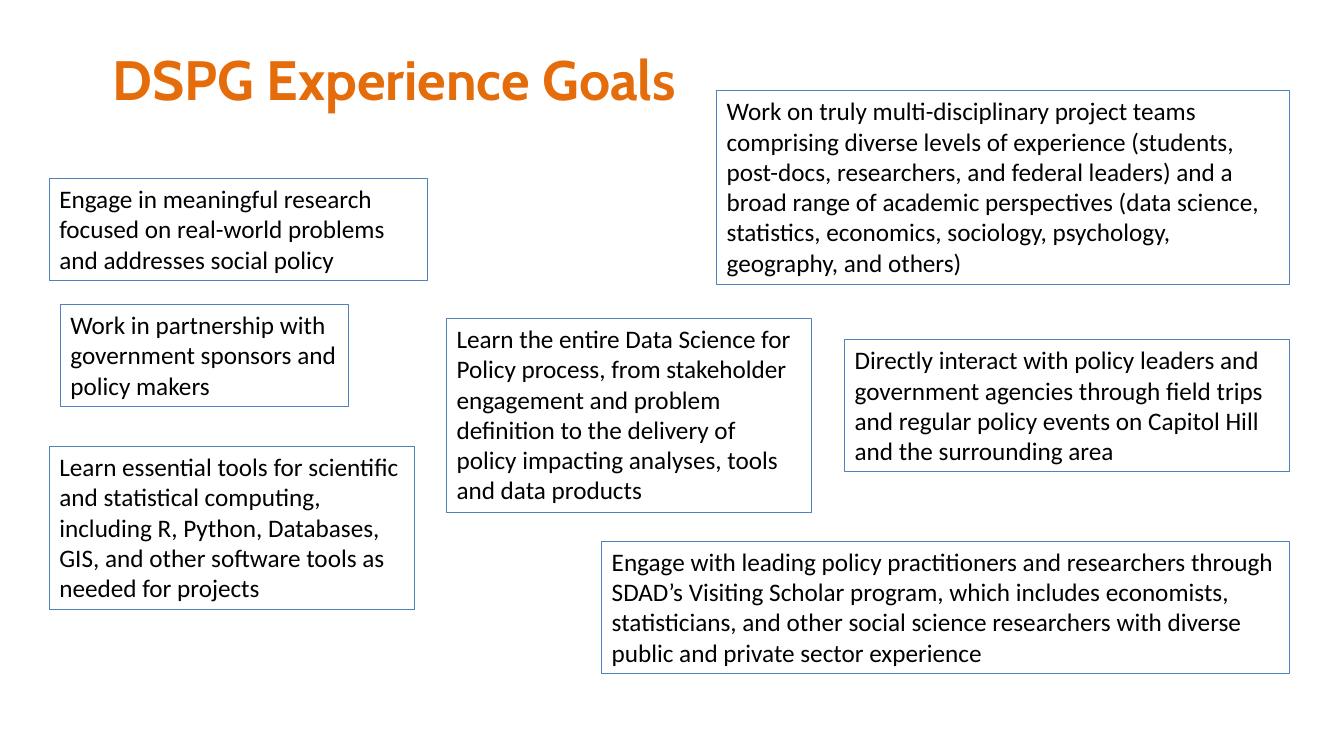
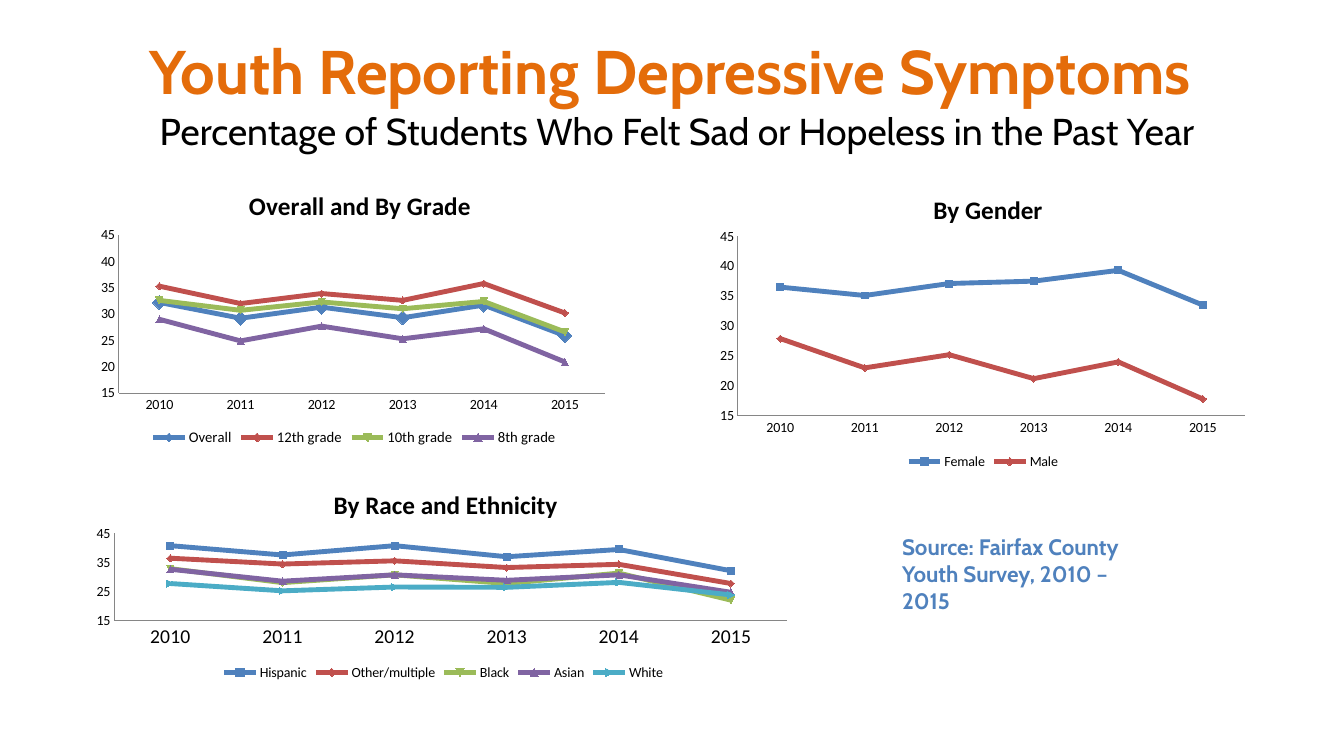
from dataclasses import dataclass
from typing import NamedTuple, Optional

from pptx import Presentation
from pptx.chart.data import CategoryChartData
from pptx.dml.color import RGBColor
from pptx.enum.chart import XL_CHART_TYPE as ChartType
from pptx.enum.chart import XL_LEGEND_POSITION as LegendPos
from pptx.enum.chart import XL_MARKER_STYLE as Marker
from pptx.enum.chart import XL_TICK_MARK as Tick
from pptx.enum.text import MSO_ANCHOR as Anchor
from pptx.enum.text import MSO_AUTO_SIZE as AutoSize
from pptx.enum.text import PP_ALIGN as Align
from pptx.oxml import parse_xml
from pptx.oxml.ns import nsdecls
from pptx.util import Inches, Pt

ORANGE = RGBColor(0xE4, 0x6C, 0x0A)
BLUE = RGBColor(0x4F, 0x81, 0xBD)
RED = RGBColor(0xC0, 0x50, 0x4D)
GREEN = RGBColor(0x9B, 0xBB, 0x59)
PURPLE = RGBColor(0x80, 0x64, 0xA2)
TEAL = RGBColor(0x4B, 0xAC, 0xC6)
BLACK = RGBColor(0, 0, 0)
GREY = RGBColor(0x86, 0x86, 0x86)
SERIES_COLOURS = (BLUE, RED, GREEN, PURPLE, TEAL)

HEADING_FONT, BODY_FONT = "Cabin", "Calibri"
SLIDE_W, SLIDE_H = Inches(13.333), Inches(7.5)
TITLE_ONLY = 5
YEARS = [str(year) for year in range(2010, 2016)]


class Area(NamedTuple):
    """A rectangle in percent of the slide's width and height."""
    left: float
    top: float
    width: float
    height: float

    def emu(self) -> tuple[int, ...]:
        sides = (SLIDE_W, SLIDE_H, SLIDE_W, SLIDE_H)
        return tuple(round(side * share / 100) for side, share in zip(sides, self))


@dataclass(frozen=True)
class TextStyle:
    size: float
    font: str = HEADING_FONT
    colour: RGBColor = BLACK
    bold: bool = False
    align: Align = Align.LEFT


@dataclass(frozen=True)
class Goal:
    area: Area
    text: str


@dataclass(frozen=True)
class Trend:
    """A line chart; title_at and plot_at are shares of the chart's size."""
    title: str
    area: Area
    title_at: tuple[float, float]
    plot_at: tuple[float, float, float, float]
    rates: dict[str, tuple[float, ...]]
    step: int = 5
    year_size: float = 10
    legend_size: float = 10
    large_first_marker: bool = False


GOAL_STYLE = TextStyle(18, BODY_FONT)
CHART_TITLE_STYLE = TextStyle(18, BODY_FONT, bold=True)
SUBTITLE_STYLE = TextStyle(26.7, align=Align.CENTER)
SOURCE_STYLE = TextStyle(16, colour=BLUE, bold=True)

GOALS = (
    Goal(Area(3.68, 23.6, 28.13, 13.47),
         "Engage in meaningful research focused on real-world problems "
         "and addresses social policy"),
    Goal(Area(53.33, 12, 42.6, 25.6),
         "Work on truly multi-disciplinary project teams comprising diverse levels "
         "of experience (students, post-docs, researchers, and federal leaders) and "
         "a broad range of academic perspectives (data science, statistics, "
         "economics, sociology, psychology, geography, and others)"),
    Goal(Area(3.68, 59.07, 27.15, 21.6),
         "Learn essential tools for scientific and statistical computing, including "
         "R, Python, Databases, GIS, and other software tools as needed for projects"),
    Goal(Area(4.5, 40.27, 21.45, 13.47),
         "Work in partnership with government sponsors and policy makers"),
    Goal(Area(44.78, 71.6, 51.15, 17.47),
         "Engage with leading policy practitioners and researchers through SDAD’s "
         "Visiting Scholar program, which includes economists, statisticians, and "
         "other social science researchers with diverse public and private sector "
         "experience"),
    Goal(Area(62.85, 44.93, 33.08, 17.47),
         "Directly interact with policy leaders and government agencies through "
         "field trips and regular policy events on Capitol Hill and the "
         "surrounding area"),
    Goal(Area(33.23, 42.13, 27.15, 25.6),
         "Learn the entire Data Science for Policy process, from stakeholder "
         "engagement and problem definition to the delivery of policy impacting "
         "analyses, tools and data products"),
)

TRENDS = (
    Trend("By Gender", Area(52.88, 22.4, 40.58, 40.27),
          (0.4, 0.06), (0.05, 0.22, 0.93, 0.59),
          {"Female": (36.5, 35.1, 37.1, 37.5, 39.3, 33.5),
           "Male": (27.9, 23, 25.2, 21.2, 24, 17.8)}),
    Trend("Overall and By Grade", Area(6.9, 21.6, 38.93, 38),
          (0.29, 0.07), (0.05, 0.25, 0.93, 0.55),
          {"Overall": (32.2, 29.2, 31.3, 29.3, 31.7, 25.9),
           "12th grade": (35.3, 32, 33.9, 32.6, 35.8, 30.2),
           "10th grade": (32.6, 30.7, 32.3, 31, 32.4, 26.6),
           "8th grade": (29, 24.9, 27.7, 25.3, 27.2, 20.9)},
          legend_size=10.5, large_first_marker=True),
    Trend("By Race and Ethnicity", Area(6.38, 61.6, 53.25, 28.93),
          (0.34, 0.08), (0.04, 0.31, 0.94, 0.4),
          {"Hispanic": (40.8, 37.6, 40.8, 37, 39.5, 32.2),
           "Other/multiple": (36.5, 34.5, 35.6, 33.3, 34.4, 27.8),
           "Black": (32.9, 28.1, 30.8, 27.8, 31.4, 22.1),
           "Asian": (32.7, 28.6, 30.8, 28.9, 30.8, 24.8),
           "White": (27.8, 25.3, 26.6, 26.5, 28.2, 23.9)},
          step=10, year_size=14),
)


def write(frame, text: str, style: TextStyle) -> None:
    paragraph = frame.paragraphs[0]
    paragraph.alignment = style.align
    run = paragraph.add_run()
    run.text = text
    run.font.name = style.font
    run.font.size = Pt(style.size)
    run.font.bold = style.bold
    run.font.color.rgb = style.colour


def add_titled_slide(deck, title: str, area: Area, size: float):
    slide = deck.slides.add_slide(deck.slide_layouts[TITLE_ONLY])
    heading = slide.shapes.title
    heading.left, heading.top, heading.width, heading.height = area.emu()
    frame = heading.text_frame
    frame.word_wrap = True
    frame.auto_size = AutoSize.NONE
    frame.vertical_anchor = Anchor.TOP
    write(frame, title, TextStyle(size, colour=ORANGE, bold=True, align=Align.CENTER))
    return slide


def add_text(slide, area: Area, text: str, style: TextStyle,
             outline: Optional[RGBColor] = None) -> None:
    box = slide.shapes.add_textbox(*area.emu())
    box.text_frame.word_wrap = True
    box.text_frame.auto_size = AutoSize.SHAPE_TO_FIT_TEXT
    if outline is not None:
        box.line.color.rgb = outline
        box.line.width = Pt(0.75)
    write(box.text_frame, text, style)


def set_layout(element, index: int, shares: tuple[float, ...]) -> None:
    """Fix the place, and the inner size if given, of a chart part."""
    for old in element.xpath("c:layout"):
        element.remove(old)
    target = '<c:layoutTarget val="inner"/>' if len(shares) == 4 else ""
    values = "".join(f'<c:{key} val="{share}"/>' for key, share in zip("xywh", shares))
    element.insert(index, parse_xml(
        f'<c:layout {nsdecls("c")}><c:manualLayout>{target}'
        f'<c:xMode val="edge"/><c:yMode val="edge"/>{values}'
        '</c:manualLayout></c:layout>'))


def style_axis(axis, size: float) -> None:
    axis.has_major_gridlines = False
    axis.major_tick_mark = axis.minor_tick_mark = Tick.NONE
    axis.tick_labels.font.size = Pt(size)
    axis.format.line.color.rgb = GREY
    axis.format.line.width = Pt(0.75)


def add_trend(slide, trend: Trend) -> None:
    data = CategoryChartData()
    data.categories = YEARS
    for name, rates in trend.rates.items():
        data.add_series(name, rates)
    chart = slide.shapes.add_chart(
        ChartType.LINE_MARKERS, *trend.area.emu(), data).chart
    chart.font.name = BODY_FONT
    chart.font.size = Pt(10)
    chart.font.color.rgb = BLACK

    chart.has_title = True
    write(chart.chart_title.text_frame, trend.title, CHART_TITLE_STYLE)
    root = chart._chartSpace
    set_layout(root.xpath("c:chart/c:title")[0], 1, trend.title_at)
    set_layout(root.xpath("c:chart/c:plotArea")[0], 0, trend.plot_at)

    chart.has_legend = True
    chart.legend.position = LegendPos.BOTTOM
    chart.legend.include_in_layout = False
    chart.legend.font.size = Pt(trend.legend_size)

    style_axis(chart.category_axis, trend.year_size)
    style_axis(chart.value_axis, 10)
    chart.value_axis.minimum_scale = 15
    chart.value_axis.maximum_scale = 45
    chart.value_axis.major_unit = trend.step

    plot = chart.plots[0]
    plot.vary_by_categories = False
    for series, colour in zip(plot.series, SERIES_COLOURS):
        series.smooth = False
        series.format.line.color.rgb = colour
        series.format.line.width = Pt(3.5)
        series.marker.format.fill.solid()
        series.marker.format.fill.fore_color.rgb = colour
        series.marker.format.line.color.rgb = colour
    if trend.large_first_marker:
        first = plot.series[0].marker
        first.style, first.size = Marker.DIAMOND, 10


def add_goals_slide(deck) -> None:
    slide = add_titled_slide(deck, "DSPG Experience Goals",
                             Area(6.9, 5.33, 44.85, 19.33), 39.6)
    for goal in GOALS:
        add_text(slide, goal.area, goal.text, GOAL_STYLE, BLUE)


def add_survey_slide(deck) -> None:
    slide = add_titled_slide(deck, "Youth Reporting Depressive Symptoms",
                             Area(4.88, 3.73, 90, 16.67), 44)
    for trend in TRENDS:
        add_trend(slide, trend)
    add_text(slide, Area(0.83, 13.6, 99.17, 7.33),
             "Percentage of Students Who Felt Sad or Hopeless in the Past Year",
             SUBTITLE_STYLE)
    add_text(slide, Area(66.38, 69.87, 17.85, 15.73),
             "Source: Fairfax County Youth Survey, 2010 – 2015", SOURCE_STYLE)


def main() -> None:
    deck = Presentation()
    deck.slide_width, deck.slide_height = SLIDE_W, SLIDE_H
    add_goals_slide(deck)
    add_survey_slide(deck)
    deck.save("out.pptx")


if __name__ == "__main__":
    main()
